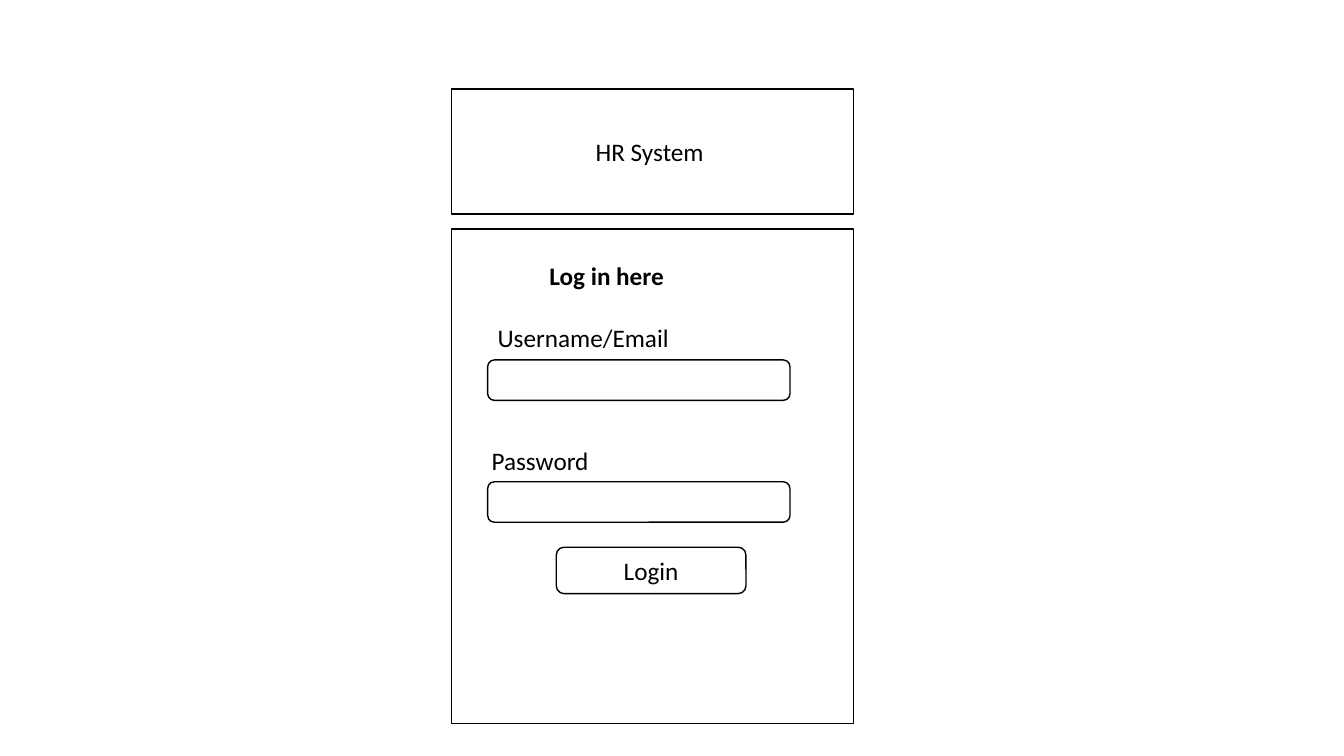
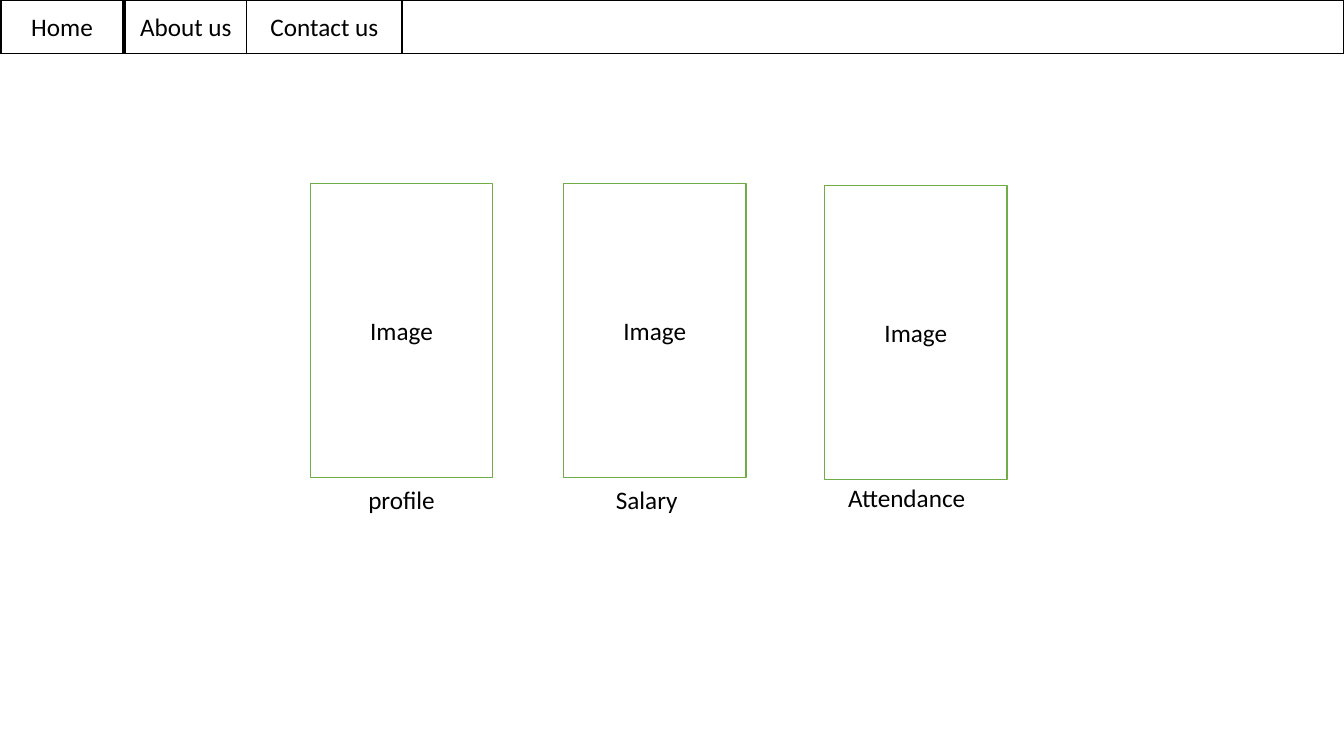
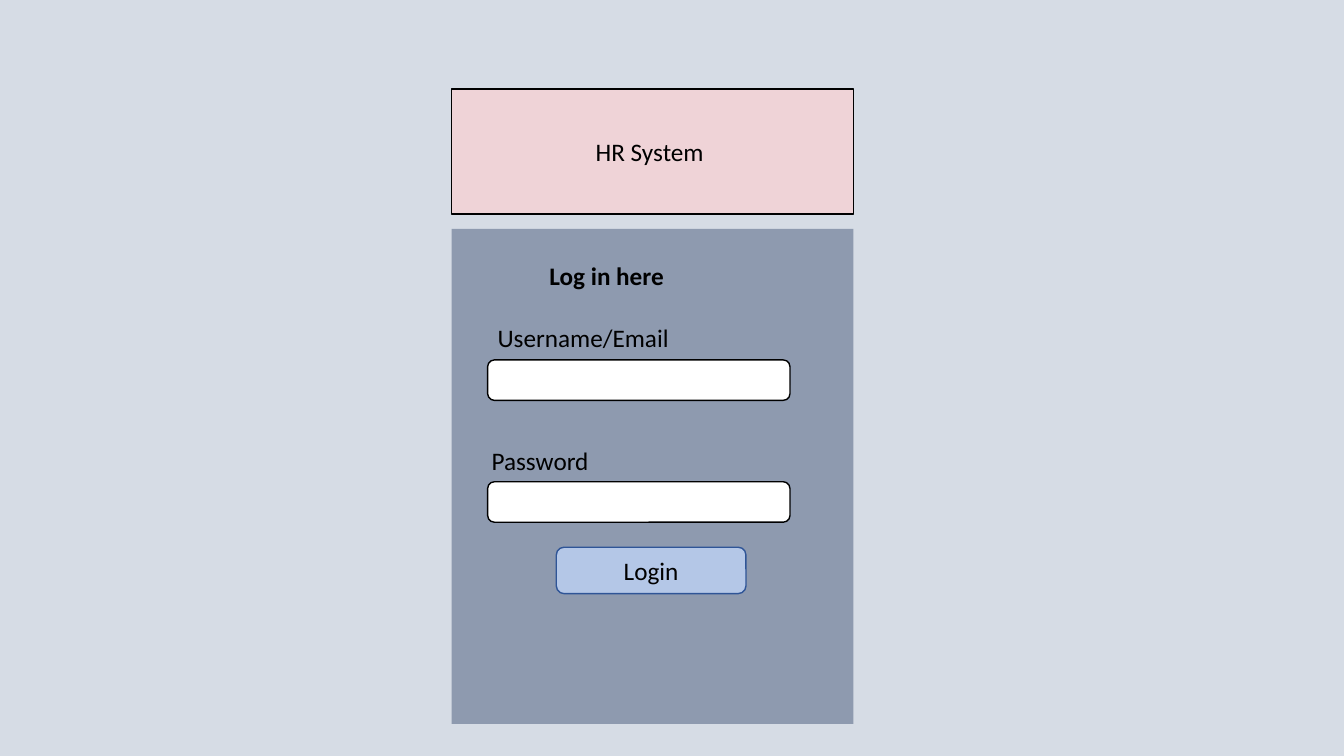
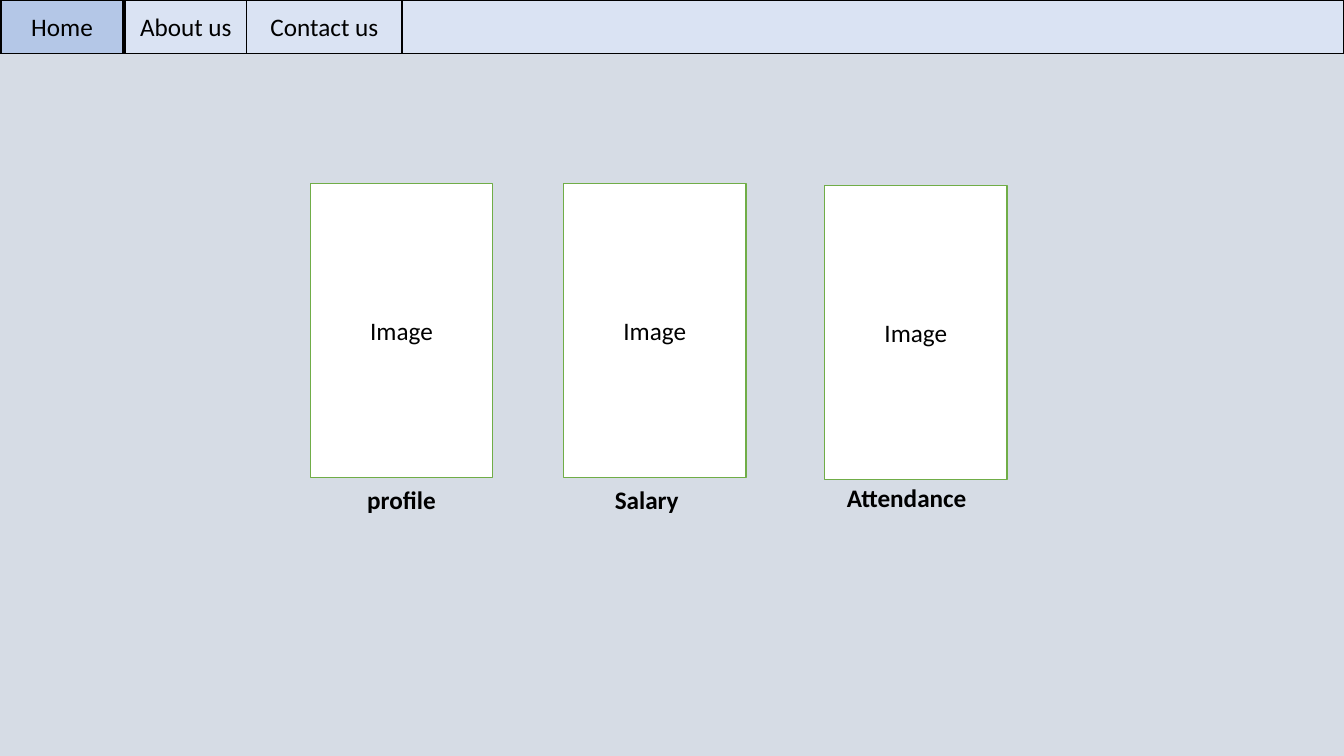
from pptx import Presentation
from pptx import util as u
from pptx.dml.color import RGBColor
from pptx.enum import shapes, text

BLACK, WHITE, GREEN = "000000", "FFFFFF", "70AD47"
GREY, SLATE, PINK = "D6DCE5", "8E9AAF", "EFD3D7"
PALE, BLUE, NAVY = "DAE3F3", "B4C7E7", "2F5597"
LEFT, MID = text.PP_ALIGN.LEFT, text.PP_ALIGN.CENTER
RECT = shapes.MSO_SHAPE.RECTANGLE
ROUND = shapes.MSO_SHAPE.ROUNDED_RECTANGLE


def paint(fill, color):
    fill.solid()
    fill.fore_color.rgb = RGBColor.from_string(color)


class Deck:
    font = "Calibri"
    size = 18

    def __init__(self):
        self.file = Presentation()
        self.file.slide_width = u.Cm(33.87)
        self.file.slide_height = u.Cm(19.05)

    def page(self, back):
        self.slide = self.file.slides.add_slide(self.file.slide_layouts[6])
        paint(self.slide.background.fill, back)

    def letter(self, frame, words, align, bold=False):
        frame.word_wrap = True
        par = frame.paragraphs[0]
        par.text = words
        par.alignment = align
        par.font.name = self.font
        par.font.size = u.Pt(self.size)
        par.font.bold = bold
        paint(par.font.fill, BLACK)

    def box(self, x, y, w, h, words="", fill=WHITE, line=BLACK, kind=RECT):
        box = self.slide.shapes.add_shape(kind, *map(u.Cm, (x, y, w, h)))
        box.shadow.inherit = False
        paint(box.fill, fill)
        if line:
            paint(box.line.fill, line)
            box.line.width = u.Pt(1)
        else:
            box.line.fill.background()
        if words:
            box.text_frame.vertical_anchor = text.MSO_ANCHOR.MIDDLE
            self.letter(box.text_frame, words, MID)

    def label(self, x, y, w, words, align=MID, bold=False, h=1.02):
        box = self.slide.shapes.add_textbox(*map(u.Cm, (x, y, w, h)))
        self.letter(box.text_frame, words, align, bold)
        box.text_frame.auto_size = text.MSO_AUTO_SIZE.SHAPE_TO_FIT_TEXT

    def login(self, back, panel, edge, head, button, rim):
        self.page(back)
        self.box(11.38, 5.77, 10.13, 12.47, fill=panel, line=edge)
        self.box(11.38, 2.24, 10.13, 3.15, "HR System ", head)
        self.label(12.29, 6.43, 6, "Log in here", bold=True)
        self.label(12.29, 8, 7.62, "Username/Email", LEFT)
        self.label(12.14, 11.1, 7.62, "Password", LEFT, h=1.8)
        for y in (9.07, 12.14):
            self.box(12.29, y, 7.62, 1.02, kind=ROUND)
        self.box(14.02, 13.79, 4.78, 1.17, "Login", button, rim, ROUND)

    def home(self, back, bar, active, bold):
        self.page(back)
        self.box(0, 0, 33.87, 1.35, fill=bar)
        tabs = (
            (0.03, 3.07, "Home", active),
            (3.15, 3.07, "About us", bar),
            (6.22, 3.91, "Contact us", bar),
        )
        for x, w, words, fill in tabs:
            self.box(x, 0, w, 1.35, words, fill)
        cards = (
            (7.82, 4.62, 7.82, 12.09, "profile"),
            (14.2, 4.62, 14, 12.09, "Salary"),
            (20.78, 4.67, 20.55, 12.04, "Attendance"),
        )
        for x, y, left, top, words in cards:
            self.box(x, y, 4.6, 7.42, "Image", line=GREEN)
            self.label(left, top, 4.6, words, bold=bold)


def main():
    deck = Deck()
    deck.login(WHITE, WHITE, BLACK, WHITE, WHITE, BLACK)
    deck.home(WHITE, WHITE, WHITE, False)
    deck.login(GREY, SLATE, None, PINK, BLUE, NAVY)
    deck.home(GREY, PALE, BLUE, True)
    deck.file.save("out.pptx")


if __name__ == "__main__":
    main()
